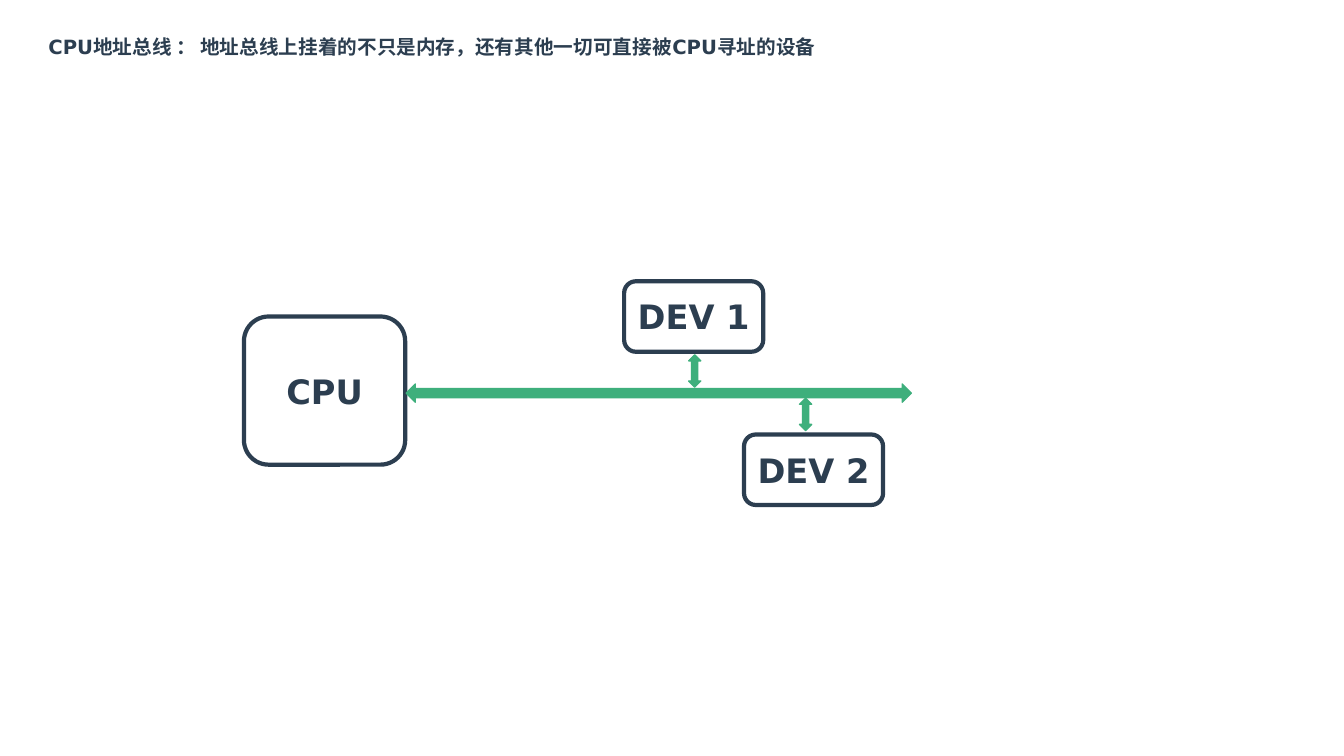
from pptx import Presentation
from pptx import util as u
from pptx.dml.color import RGBColor
from pptx.enum import shapes, text

COLORS = {"ink": "2C3E50", "bus": "3EAF7C"}
FONT = "DejaVu Sans"
SHAPE = shapes.MSO_SHAPE

prs = Presentation()
prs.slide_width, prs.slide_height = u.Inches(13.33), u.Inches(7.5)
s = prs.slides.add_slide(prs.slide_layouts[5])


def place(left, top, width, height):
    """Turn percentages of the slide's size into lengths."""
    W, H = prs.slide_width, prs.slide_height
    return [int(share * full / 100)
            for share, full in zip((left, top, width, height), (W, H, W, H))]


def write(tf, words, size, align):
    p = tf.paragraphs[0]
    p.text = words
    p.alignment = align
    p.font.name, p.font.size, p.font.bold = FONT, u.Pt(size), True
    p.font.color.rgb = RGBColor.from_string(COLORS["ink"])


# Title
title = s.shapes.title
title.left, title.top, title.width, title.height = place(2.85, 4, 59.1, 4.53)
tf = title.text_frame
tf.word_wrap = True
tf.auto_size = text.MSO_AUTO_SIZE.NONE
tf.vertical_anchor = text.MSO_ANCHOR.TOP
write(tf, "CPU地址总线 ： 地址总线上挂着的不只是内存，还有其他一切可直接被CPU寻址的设备",
      14, text.PP_ALIGN.LEFT)

# Processor and devices
device_size = (10.35, 9.33)
boxes = [
    ("CPU", 18.15, 41.87, 12, 19.6),
    ("DEV 1", 46.44, 37.2, *device_size),
    ("DEV 2", 55.36, 57.47, *device_size),
]
for label, *box in boxes:
    sp = s.shapes.add_shape(SHAPE.ROUNDED_RECTANGLE, *place(*box))
    sp.shadow.inherit = False
    sp.fill.background()
    sp.line.color.rgb = RGBColor.from_string(COLORS["ink"])
    sp.line.width = u.Pt(3)
    tf = sp.text_frame
    tf.word_wrap = False
    tf.vertical_anchor = text.MSO_ANCHOR.MIDDLE
    write(tf, label, 24, text.PP_ALIGN.CENTER)

# Address bus and its links to the devices
link_size = (0.9, 4.27)
arrows = [
    (SHAPE.LEFT_RIGHT_ARROW, 30.23, 50.8, 37.58, 2.4),
    (SHAPE.UP_DOWN_ARROW, 51.24, 46.93, *link_size),
    (SHAPE.UP_DOWN_ARROW, 59.49, 52.67, *link_size),
]
for kind, *box in arrows:
    sp = s.shapes.add_shape(kind, *place(*box))
    sp.shadow.inherit = False
    sp.fill.solid()
    sp.fill.fore_color.rgb = RGBColor.from_string(COLORS["bus"])
    sp.line.color.rgb = RGBColor.from_string(COLORS["bus"])
    sp.line.width = u.Pt(1)

prs.save("out.pptx")
